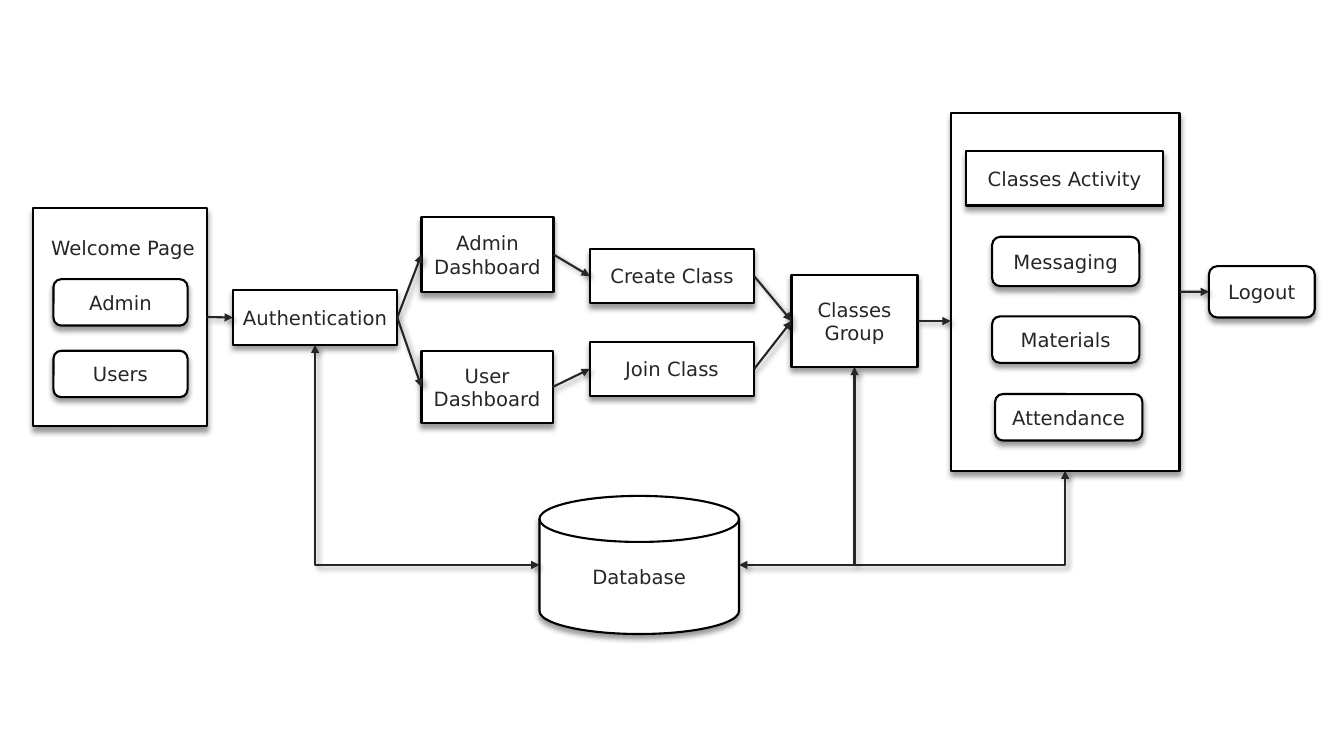
from dataclasses import dataclass

from lxml.etree import SubElement
from pptx import Presentation
from pptx.dml.color import RGBColor
from pptx.enum.shapes import MSO_CONNECTOR, MSO_SHAPE
from pptx.enum.text import MSO_ANCHOR, PP_ALIGN
from pptx.oxml.ns import qn
from pptx.util import Inches, Pt


@dataclass(frozen=True)
class Theme:
    """Colours, type and line weights of the slide."""
    paper: RGBColor = RGBColor(0xFF, 0xFF, 0xFF)
    outline: RGBColor = RGBColor(0x00, 0x00, 0x00)
    ink: RGBColor = RGBColor(0x26, 0x26, 0x26)
    font: str = "DejaVu Sans"
    text_size: int = Pt(14)
    line_width: int = Pt(1.5)
    shadow_blur: int = Pt(4)
    shadow_distance: int = Pt(3)
    shadow_opacity: int = 40
    box_shadow_angle: int = 90
    arrow_shadow_angle: int = 45


THEME = Theme()


@dataclass(frozen=True)
class Box:
    """A rectangle whose inner boxes are given in percent of its size."""
    left: int
    top: int
    width: int
    height: int

    def inner(self, left, top, width, height):
        """Return the box at the given percentages of this one."""
        return Box(round(self.left + self.width * left / 100),
                   round(self.top + self.height * top / 100),
                   round(self.width * width / 100),
                   round(self.height * height / 100))

    def place(self):
        """Return the four lengths in the order shapes take them."""
        return self.left, self.top, self.width, self.height


def apply_format(target, values):
    """Set every attribute named in the dict."""
    for name, value in values.items():
        setattr(target, name, value)


def add_shadow(shape, angle):
    """Give a shape or connector the soft shadow of the theme."""
    effects = SubElement(shape.element.spPr, qn("a:effectLst"))
    shadow = SubElement(effects, qn("a:outerShdw"), {
        "blurRad": str(THEME.shadow_blur), "dist": str(THEME.shadow_distance),
        "dir": str(angle * 60000), "algn": "t", "rotWithShape": "0"})
    color = SubElement(shadow, qn("a:srgbClr"), {"val": str(THEME.outline)})
    SubElement(color, qn("a:alpha"), {"val": str(THEME.shadow_opacity * 1000)})


def write_text(shape, text):
    """Write centred text, one paragraph a line."""
    frame = shape.text_frame
    frame.text = text
    apply_format(frame, {
        "word_wrap": True, "vertical_anchor": MSO_ANCHOR.MIDDLE,
        "margin_left": Inches(0.05), "margin_right": Inches(0.05)})
    for paragraph in frame.paragraphs:
        paragraph.alignment = PP_ALIGN.CENTER
        for run in paragraph.runs:
            apply_format(run.font, {"name": THEME.font, "size": THEME.text_size})
            run.font.color.rgb = THEME.ink


def add_node(slide, box, text="", kind=MSO_SHAPE.RECTANGLE):
    """Add an outlined shape that fills the box."""
    shape = slide.shapes.add_shape(kind, *box.place())
    shape.fill.solid()
    shape.fill.fore_color.rgb = THEME.paper
    shape.line.color.rgb = THEME.outline
    shape.line.width = THEME.line_width
    add_shadow(shape, THEME.box_shadow_angle)
    if text:
        write_text(shape, text)
    return shape


def add_arrow(slide, start, end, kind=MSO_CONNECTOR.STRAIGHT, ends=("tailEnd",)):
    """Add a connector with triangle heads at the given ends."""
    arrow = slide.shapes.add_connector(kind, *start, *end)
    arrow.line.color.rgb = THEME.ink
    arrow.line.width = THEME.line_width
    line = arrow.element.spPr.find(qn("a:ln"))
    for name in ends:
        SubElement(line, qn(f"a:{name}"), {"type": "triangle"})
    add_shadow(arrow, THEME.arrow_shadow_angle)
    return arrow


def join(slide, source, target):
    """Link the right side of one node to the left side of another."""
    arrow = add_arrow(slide, (0, 0), (0, 0))
    arrow.begin_connect(source, 3)
    arrow.end_connect(target, 1)


def bottom_middle(shape):
    """Return the middle of a shape's lower side."""
    return shape.left + shape.width // 2, shape.top + shape.height


def add_welcome(slide, box):
    """Build the welcome page with its two roles."""
    panel = add_node(slide, box)
    heading = slide.shapes.add_textbox(*box.inner(1.74, 10.6, 100, 15.67).place())
    write_text(heading, "Welcome Page")
    for row, role in enumerate(("Admin", "Users"), 1):
        add_node(slide, box.inner(11.63, 32.72 * row, 77.33, 21.2), role,
                 MSO_SHAPE.ROUNDED_RECTANGLE)
    return panel


def add_access(slide, box):
    """Build authentication and the dashboards it leads to."""
    authentication = add_node(slide, box.inner(0, 35.61, 51.26, 26.34), "Authentication")
    dashboards = [
        add_node(slide, box.inner(58.81, 0, 41.19, 36.59), "Admin\nDashboard"),
        add_node(slide, box.inner(58.81, 64.88, 40.88, 35.12), "User Dashboard")]
    for dashboard in dashboards:
        join(slide, authentication, dashboard)
    return authentication, dashboards


def add_classes(slide, box):
    """Build the class actions and the group they lead to."""
    group = add_node(slide, box.inner(61.54, 17.81, 38.46, 62.33), "Classes Group")
    actions = [add_node(slide, box.inner(0, 63.01 * row, 50.15, 36.99), name)
               for row, name in enumerate(("Create Class", "Join Class"))]
    for action in actions:
        join(slide, action, group)
    return actions, group


def add_activity(slide, box):
    """Build the activity panel and its services."""
    panel = add_node(slide, box)
    add_node(slide, box.inner(6.61, 10.7, 86.34, 15.21), "Classes Activity")
    services = (("Messaging", 18.06, 34.65, 13.8),
                ("Materials", 18.06, 56.9, 12.96),
                ("Attendance", 19.38, 78.59, 12.96))
    for name, left, top, height in services:
        add_node(slide, box.inner(left, top, 64.32, height), name,
                 MSO_SHAPE.ROUNDED_RECTANGLE)
    return panel


def add_store(slide, box, authentication, group, activity):
    """Build the database and the lines that feed from it."""
    add_node(slide, box, "Database", MSO_SHAPE.FLOWCHART_MAGNETIC_DISK)
    middle = box.top + box.height // 2
    for side, target in ((box.left, authentication), (box.left + box.width, activity)):
        elbow = add_arrow(slide, (side, middle), bottom_middle(target),
                          MSO_CONNECTOR.ELBOW, ("headEnd", "tailEnd"))
        elbow.element.spPr.find(qn("a:prstGeom")).set("prst", "bentConnector2")
    end = bottom_middle(group)
    branch = add_arrow(slide, (end[0], middle), end)
    branch.end_connect(group, 2)


def add_flow_slide(presentation):
    """Lay out the regions of the class flow and link them."""
    slide = presentation.slides.add_slide(presentation.slide_layouts[6])
    page = Box(0, 0, presentation.slide_width, presentation.slide_height)
    welcome = add_welcome(slide, page.inner(2.48, 27.47, 12.9, 28.93))
    authentication, dashboards = add_access(slide, page.inner(17.33, 28.67, 23.86, 27.33))
    actions, group = add_classes(slide, page.inner(43.89, 32.93, 24.38, 19.47))
    activity = add_activity(slide, page.inner(70.74, 14.93, 17.03, 47.33))
    logout = add_node(slide, page.inner(89.95, 35.2, 7.88, 6.8), "Logout",
                      MSO_SHAPE.ROUNDED_RECTANGLE)
    add_store(slide, page.inner(40.14, 65.6, 14.85, 18.27), authentication, group, activity)
    links = [(welcome, authentication), *zip(dashboards, actions),
             (activity, logout)]
    for source, target in links:
        join(slide, source, target)
    start = group.left + group.width, group.top + group.height // 2
    add_arrow(slide, start, (activity.left, start[1])).begin_connect(group, 3)


def main():
    """Build the presentation and save it."""
    presentation = Presentation()
    apply_format(presentation, {"slide_width": Inches(13.33), "slide_height": Inches(7.5)})
    add_flow_slide(presentation)
    presentation.save("out.pptx")


if __name__ == "__main__":
    main()
